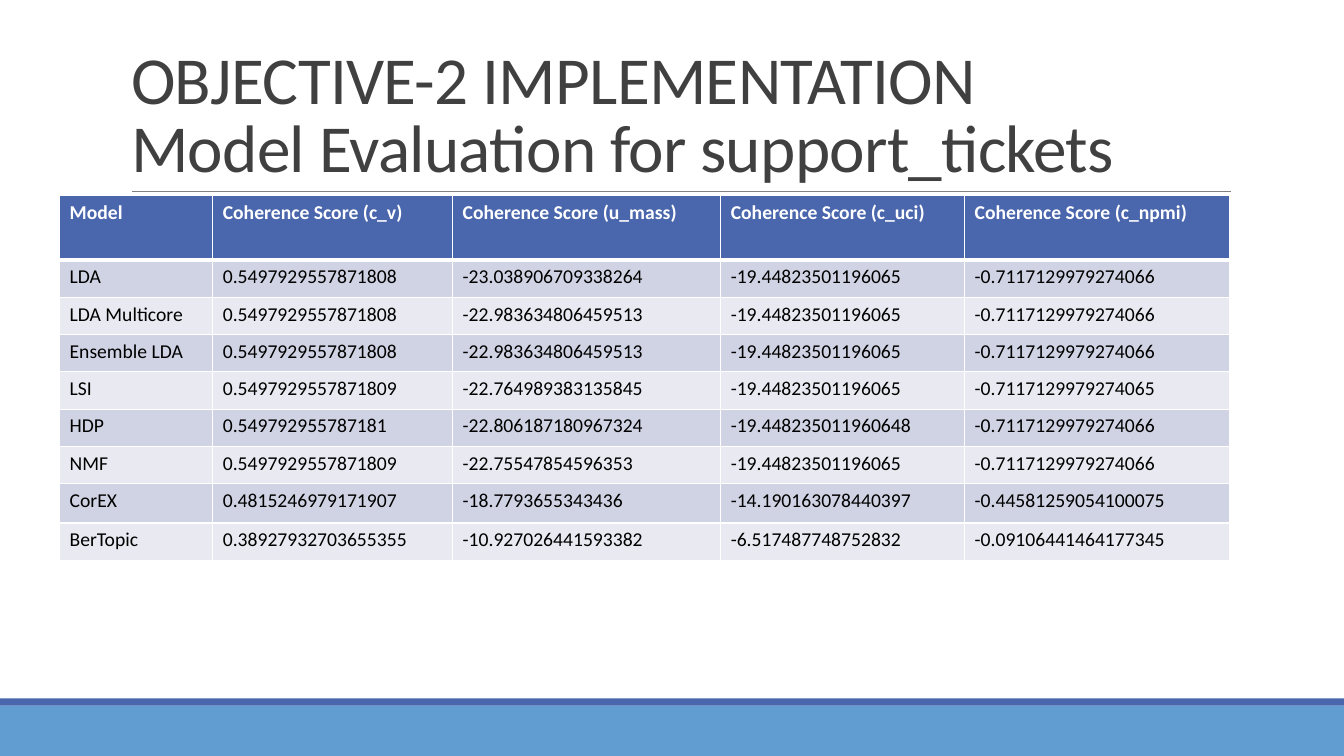
from lxml.etree import SubElement
from pptx import Presentation
from pptx.dml.color import RGBColor
from pptx.enum.shapes import MSO_CONNECTOR as Connector, MSO_SHAPE as Preset
from pptx.enum.text import MSO_ANCHOR as Anchor, MSO_AUTO_SIZE as AutoSize, PP_ALIGN as Align
from pptx.oxml.ns import qn
from pptx.util import Inches, Pt

WHITE = RGBColor(0xFF, 0xFF, 0xFF)
BLACK = RGBColor(0x00, 0x00, 0x00)
CHARCOAL = RGBColor(0x40, 0x40, 0x40)
GREY = RGBColor(0x80, 0x80, 0x80)
INDIGO = RGBColor(0x4A, 0x66, 0xAC)
SKY = RGBColor(0x62, 0x9D, 0xD1)
BAND_DARK = RGBColor(0xD0, 0xD3, 0xE3)
BAND_LIGHT = RGBColor(0xE9, 0xEA, 0xF1)

TITLE_LINES = ["OBJECTIVE-2 IMPLEMENTATION", "Model Evaluation for support_tickets"]
MEASURES = ["c_v", "u_mass", "c_uci", "c_npmi"]
SCORES = [
    ["LDA", "0.5497929557871808", "-23.038906709338264", "-19.44823501196065", "-0.7117129979274066"],
    ["LDA Multicore", "0.5497929557871808", "-22.983634806459513", "-19.44823501196065", "-0.7117129979274066"],
    ["Ensemble LDA", "0.5497929557871808", "-22.983634806459513", "-19.44823501196065", "-0.7117129979274066"],
    ["LSI", "0.5497929557871809", "-22.764989383135845", "-19.44823501196065", "-0.7117129979274065"],
    ["HDP", "0.549792955787181", "-22.806187180967324", "-19.448235011960648", "-0.7117129979274066"],
    ["NMF", "0.5497929557871809", "-22.75547854596353", "-19.44823501196065", "-0.7117129979274066"],
    ["CorEX", "0.4815246979171907", "-18.7793655343436", "-14.190163078440397", "-0.44581259054100075"],
    ["BerTopic", "0.38927932703655355", "-10.927026441593382", "-6.517487748752832", "-0.09106441464177345"],
]
COLUMN_WIDTHS = [11.4, 17.85, 19.95, 18.15, 19.73]
ROW_HEIGHTS = [6.4] + [3.7] * 6 + [3.9, 3.7]


class SlideBuilder:
    font = "Calibri"
    columns, rows = 100, 75

    def __init__(self, presentation):
        self.width, self.height = presentation.slide_width, presentation.slide_height
        self.slide = presentation.slides.add_slide(presentation.slide_layouts[5])

    def x(self, columns):
        return round(self.width * columns / self.columns)

    def y(self, rows):
        return round(self.height * rows / self.rows)

    def box(self, left, top, width, height):
        return self.x(left), self.y(top), self.x(width), self.y(height)

    def run(self, paragraph, text, size, color, bold=False):
        run = paragraph.add_run()
        run.text = text
        run.font.name, run.font.size, run.font.bold = self.font, Pt(size), bold
        run.font.color.rgb = color
        return run

    def title(self, lines, *place):
        title = self.slide.shapes.title
        title.left, title.top, title.width, title.height = self.box(*place)
        frame = title.text_frame
        frame.auto_size, frame.word_wrap = AutoSize.NONE, True
        frame.vertical_anchor = Anchor.BOTTOM
        paragraph = frame.paragraphs[0]
        paragraph.alignment, paragraph.line_spacing = Align.LEFT, 0.85
        for index, line in enumerate(lines):
            if index:
                paragraph.add_line_break()
            run = self.run(paragraph, line, 48, CHARCOAL)
            run.font._element.set("spc", "-50")

    def bar(self, color, *place):
        shape = self.slide.shapes.add_shape(Preset.RECTANGLE, *self.box(*place))
        shape.shadow.inherit = False
        shape.fill.solid()
        shape.fill.fore_color.rgb = color
        shape.line.fill.background()

    def rule(self, left, right, row):
        line = self.slide.shapes.add_connector(
            Connector.STRAIGHT, self.x(left), self.y(row), self.x(right), self.y(row))
        line.line.color.rgb, line.line.width = GREY, Pt(0.5)
        SubElement(line._element.spPr, qn("a:effectLst"))

    def cell(self, cell, text, fill, color, bold, top, bottom):
        properties = cell._tc.get_or_add_tcPr()
        for side, width in zip("LRTB", (1, 1, top, bottom)):
            border = SubElement(properties, qn(f"a:ln{side}"), w=str(Pt(width)))
            paint = SubElement(border, qn("a:solidFill"))
            SubElement(paint, qn("a:srgbClr"), val=str(WHITE))
        cell.fill.solid()
        cell.fill.fore_color.rgb = fill
        self.run(cell.text_frame.paragraphs[0], text, 14, color, bold)

    def table(self, left, top, widths, heights, records):
        place = self.box(left, top, sum(widths), sum(heights))
        table = self.slide.shapes.add_table(len(heights), len(widths), *place).table
        for column, width in zip(table.columns, widths):
            column.width = self.x(width)
        for index, (row, height, record) in enumerate(zip(table.rows, heights, records)):
            row.height = self.y(height)
            header = index == 0
            fill = INDIGO if header else BAND_DARK if index % 2 else BAND_LIGHT
            for cell, text in zip(row.cells, record):
                self.cell(cell, text, fill, WHITE if header else BLACK, header,
                          top=3 if index == 1 else 1, bottom=3 if header else 1)


def main():
    presentation = Presentation()
    presentation.slide_width, presentation.slide_height = Inches(13.33), Inches(7.5)
    builder = SlideBuilder(presentation)
    builder.bar(SKY, 0, 70, 100, 5)
    builder.bar(INDIGO, 0, 69.3, 100, 0.7)
    builder.rule(9.83, 91.6, 19)
    builder.title(TITLE_LINES, 9, 3.1, 82.5, 15.9)
    header = ["Model"] + [f"Coherence Score ({measure})" for measure in MEASURES]
    builder.table(4.43, 19.4, COLUMN_WIDTHS, ROW_HEIGHTS, [header] + SCORES)
    presentation.save("out.pptx")


if __name__ == "__main__":
    main()
